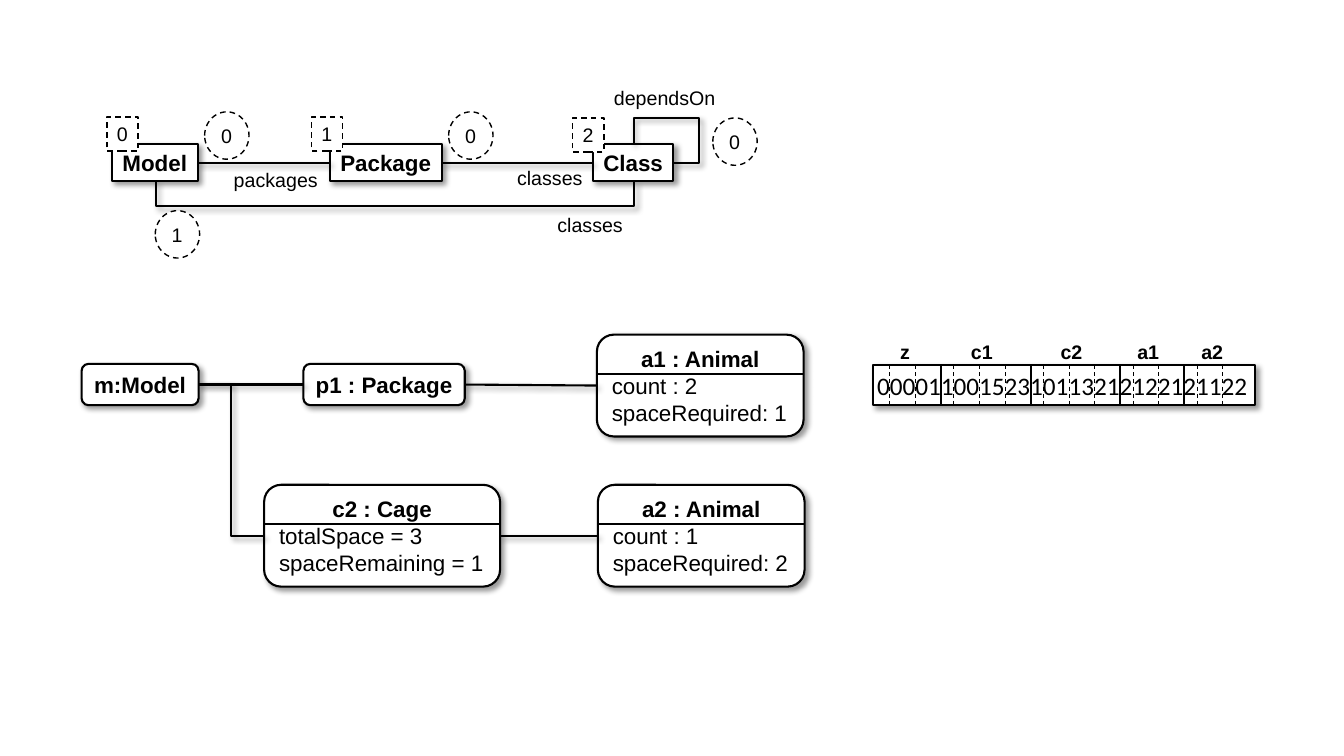
from pptx import Presentation
from pptx.dml.color import RGBColor
from pptx.enum.dml import MSO_LINE
from pptx.enum.shapes import MSO_CONNECTOR as Link, MSO_SHAPE as Shape
from pptx.enum.text import MSO_ANCHOR as Anchor, MSO_AUTO_SIZE, PP_ALIGN as Align
from pptx.oxml import parse_xml
from pptx.oxml.ns import nsdecls
from pptx.util import Inches, Pt

BLACK = RGBColor(0, 0, 0)
WHITE = RGBColor(255, 255, 255)
TOP, LEFT, BOTTOM, RIGHT = range(4)  # connection sites of a box
SHADOW = ('<a:outerShdw blurRad="50800" dist="38100" dir="2700000" algn="tl" rotWithShape="0">'
          '<a:srgbClr val="000000"><a:alpha val="40000"/></a:srgbClr></a:outerShdw>')

deck = Presentation()
deck.slide_width, deck.slide_height = Inches(13.33), Inches(7.5)
page = deck.slides.add_slide(deck.slide_layouts[6])


def outline(item, width=1.5, dashed=False, shadow=True):
    item.line.color.rgb = BLACK
    item.line.width = Pt(width)
    if dashed:
        item.line.dash_style = MSO_LINE.DASH
    effects = SHADOW if shadow else ""
    item._element.spPr.append(
        parse_xml(f'<a:effectLst {nsdecls("a")}>{effects}</a:effectLst>'))


def add_box(kind, at, lines, size=16, bold=True, align=Align.CENTER, anchor=Anchor.MIDDLE):
    """Add a shape, or a plain text box when kind is None; later lines are plain and left."""
    place = [Inches(value) for value in at]
    if kind is None:
        box = page.shapes.add_textbox(*place)
    else:
        box = page.shapes.add_shape(kind, *place)
        box.fill.solid()
        box.fill.fore_color.rgb = WHITE
    frame = box.text_frame
    frame.word_wrap = False
    frame.auto_size = MSO_AUTO_SIZE.SHAPE_TO_FIT_TEXT
    frame.vertical_anchor = anchor
    frame.text = "\n".join(lines)
    for index, para in enumerate(frame.paragraphs):
        para.alignment = align if index == 0 else Align.LEFT
        para.font.name = "Arial"
        para.font.size = Pt(size)
        para.font.bold = bold and index == 0
        para.font.color.rgb = BLACK
    return box


# Class and object boxes; those with attributes get a rule under the name
boxes = {}
for name, kind, at, lines in [
    ("Model", Shape.RECTANGLE, (1.11, 1.43, 0.85, 0.37), ["Model"]),
    ("Package", Shape.RECTANGLE, (3.27, 1.43, 1.11, 0.37), ["Package"]),
    ("Class", Shape.RECTANGLE, (5.88, 1.43, 0.8, 0.37), ["Class"]),
    ("m", Shape.ROUNDED_RECTANGLE, (0.81, 3.61, 1.16, 0.41), ["m:Model"]),
    ("p1", Shape.ROUNDED_RECTANGLE, (3.01, 3.61, 1.6, 0.41), ["p1 : Package"]),
    ("a1", Shape.ROUNDED_RECTANGLE, (5.92, 3.32, 2.05, 1.01),
     ["a1 : Animal", "count : 2", "spaceRequired: 1"]),
    ("c2", Shape.ROUNDED_RECTANGLE, (2.62, 4.81, 2.34, 1.01),
     ["c2 : Cage", "totalSpace = 3", "spaceRemaining = 1"]),
    ("a2", Shape.ROUNDED_RECTANGLE, (5.93, 4.81, 2.05, 1.01),
     ["a2 : Animal", "count : 1", "spaceRequired: 2"]),
]:
    boxes[name] = add_box(kind, at, lines)
    outline(boxes[name])
    if len(lines) > 1:
        left, top, width, height = at
        rule = page.shapes.add_connector(Link.STRAIGHT, Inches(left), Inches(top + 0.39),
                                         Inches(left + width), Inches(top + 0.39))
        outline(rule, shadow=False)

# Links from the right side of one box to the left side of the next
for start, end, kind in [
    ("Model", "Package", Link.STRAIGHT), ("Package", "Class", Link.STRAIGHT),
    ("m", "p1", Link.STRAIGHT), ("p1", "a1", Link.STRAIGHT),
    ("c2", "a2", Link.STRAIGHT), ("m", "c2", Link.ELBOW),
]:
    link = page.shapes.add_connector(kind, 0, 0, 0, 0)
    link.begin_connect(boxes[start], RIGHT)
    link.end_connect(boxes[end], LEFT)
    outline(link)

# Looping links: dependsOn above Class, classes below Model and Class
for preset, (left, top, width, height), bends in [
    ("bentConnector4", (6.39, 1.32, 0.19, 0.4), (-135000, 162500)),
    ("bentConnector3", (3.91, -0.57, 0.01, 4.74), (2500000,)),
]:
    loop = page.shapes.add_connector(Link.ELBOW, Inches(left), Inches(top),
                                     Inches(left + width), Inches(top + height))
    loop._element.spPr.xfrm.set("rot", str(270 * 60000))
    loop._element.spPr.xfrm.set("flipH", "1")
    guides = "".join(f'<a:gd name="adj{number}" fmla="val {bend}"/>'
                     for number, bend in enumerate(bends, 1))
    old_shape = loop._element.spPr.find("{*}prstGeom")
    loop._element.spPr.replace(old_shape, parse_xml(
        f'<a:prstGeom {nsdecls("a")} prst="{preset}"><a:avLst>{guides}</a:avLst></a:prstGeom>'))
    outline(loop)

# Reference names
for name, left, top, width in [
    ("dependsOn", 5.99, 0.8, 1.21), ("classes", 5.03, 1.59, 0.86),
    ("packages", 2.22, 1.61, 1.04), ("classes", 5.43, 2.06, 0.86),
]:
    add_box(None, (left, top, width, 0.34), [name], 14, False, Align.LEFT)

# Dashed indices: squares number the classes, circles the references
for kind, width, height, marks in [
    (Shape.RECTANGLE, 0.31, 0.34, [("0", 1.06, 1.16), ("1", 3.09, 1.16), ("2", 5.68, 1.17)]),
    (Shape.OVAL, 0.44, 0.47, [("0", 2.03, 1.11), ("0", 4.45, 1.11),
                              ("0", 7.07, 1.17), ("1", 1.54, 2.09)]),
]:
    for digit, left, top in marks:
        mark = add_box(kind, (left, top, width, height), [digit], 14, False,
                       Align.LEFT, Anchor.TOP)
        outline(mark, 1, dashed=True, shadow=False)

# Encoded vector: each record is one digit followed by pairs
records = {"z": "00001", "c1": "1001523", "c2": "1011321", "a1": "21221", "a2": "21122"}
vector = add_box(Shape.RECTANGLE, (8.66, 3.62, 3.79, 0.4), ["".join(records.values())],
                 18, False, Align.LEFT, Anchor.TOP)
vector.text_frame.paragraphs[0].font.name = "Calibri"
vector.text_frame.margin_left = vector.text_frame.margin_right = Inches(0.04)
outline(vector)

DIGIT = 3.3 / 26
start = 8.7
for name, digits in records.items():
    length = len(digits)
    for count in range(1, length + 1, 2):
        is_end = count == length
        if is_end and name == "a2":
            continue
        x = Inches(start + count * DIGIT)
        divider = page.shapes.add_connector(Link.STRAIGHT, x, Inches(3.62), x, Inches(4.03))
        outline(divider, 1.5 if is_end else 0.75, dashed=not is_end, shadow=False)
    label_width = 0.3 if name == "z" else 0.42
    label_left = start + (length * DIGIT - label_width) / 2 - 0.04
    add_box(None, (label_left, 3.32, label_width, 0.34), [name], 14, anchor=Anchor.TOP)
    start += length * DIGIT

deck.save("out.pptx")
